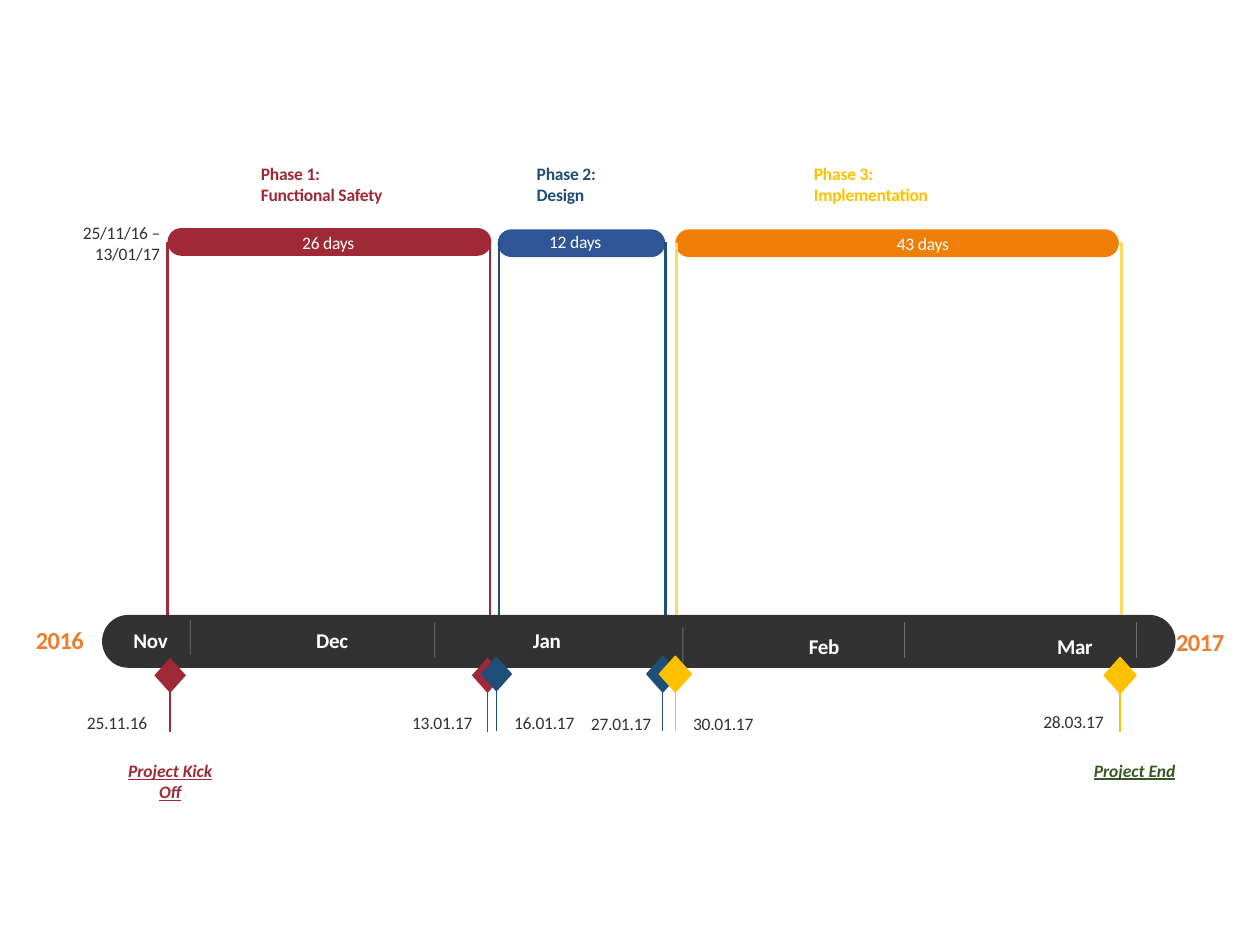
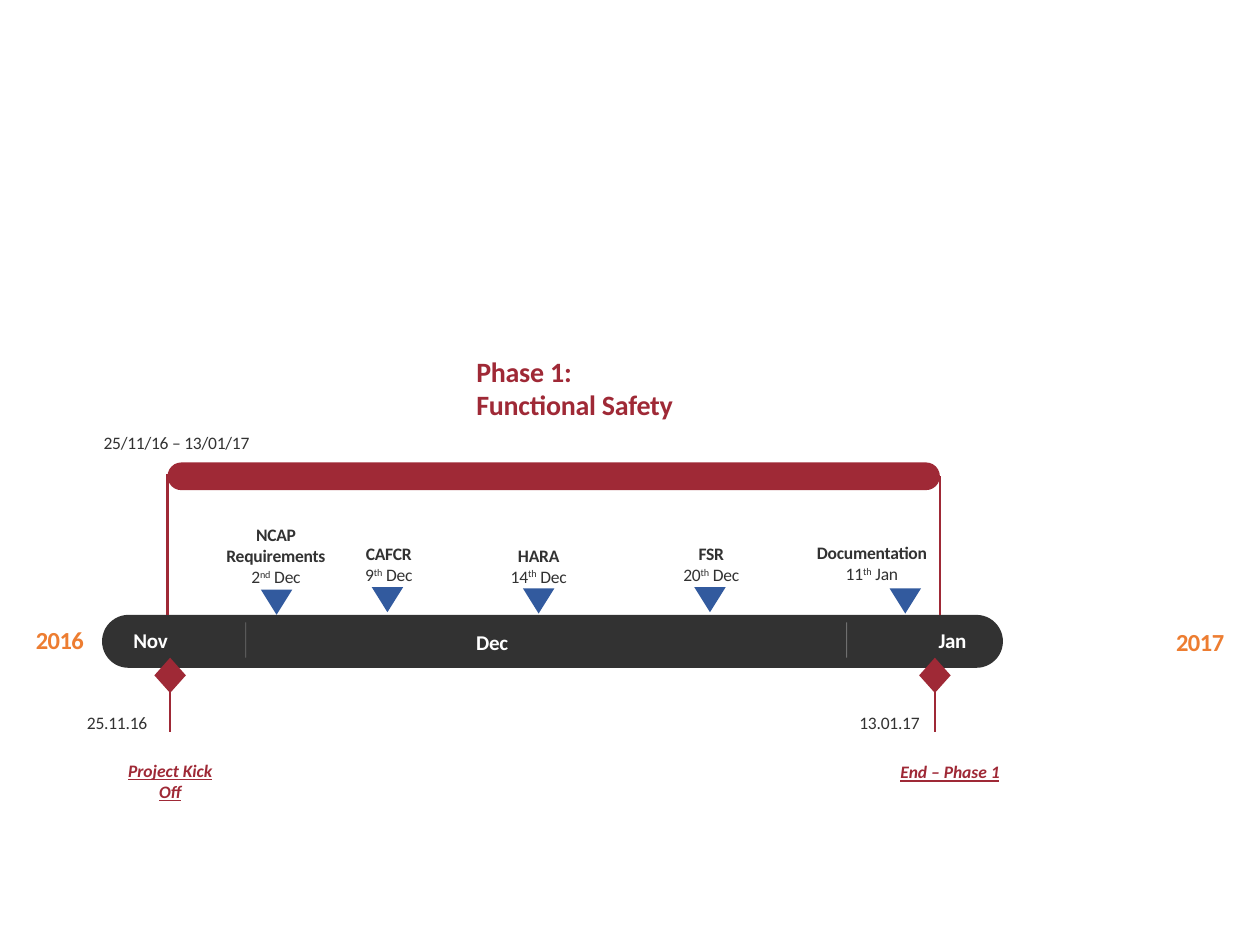
from lxml.etree import SubElement
from pptx import Presentation
from pptx.dml.color import RGBColor
from pptx.enum.shapes import MSO_CONNECTOR as Connector, MSO_SHAPE as Shape
from pptx.enum.text import MSO_ANCHOR as Anchor, MSO_AUTO_SIZE as AutoSize, PP_ALIGN as Align
from pptx.oxml.ns import qn
from pptx.util import Inches, Pt

COLORS = {
    "red": "9F2936", "blue": "1F4E79", "bar_blue": "2F5597", "marker": "325A9E",
    "gold": "FFC000", "pale_gold": "FFD966", "bar_orange": "F07F09",
    "year": "ED7D31", "dark": "323232", "green": "385723", "white": "FFFFFF",
}
FONT = "Calibri"
BAND_LEFT, BAND_TOP, BAND_HEIGHT = 0.81, 4.88, 0.42
BAR_HEIGHT = 0.22
DIAMOND_WIDTH, DIAMOND_HEIGHT = 0.25, 0.28
TRIANGLE_WIDTH, TRIANGLE_HEIGHT = 0.25, 0.2
YEARS = [("2016", 0.28, 4.96), ("2017", 9.33, 4.97)]
KICK_OFF = ("Project Kick Off", 0.99, 6.03, 0.72, 0.34, "red")
START = ("25.11.16", 1.35, 5.22, 0.61, 5.65, "red", False)

OVERVIEW = {
    "band_width": 8.52,
    "months": [("Nov", 1.06, 4.98), ("Dec", 2.51, 4.98), ("Jan", 4.23, 4.98),
               ("Feb", 6.42, 5.03), ("Mar", 8.39, 5.03)],
    "dividers": [(1.51, 4.92), (3.45, 4.94), (5.42, 4.98), (7.18, 4.94), (9.02, 4.94)],
    "bars": [(1.33, 1.81, 2.57, "red"), (3.95, 1.82, 1.33, "bar_blue"),
             (5.36, 1.82, 3.52, "bar_orange")],
    "pillars": [(1.33, 1.92, "red"), (3.89, 1.93, "red"), (3.96, 1.92, "blue"),
                (5.28, 1.92, "blue"), (5.37, 1.93, "pale_gold"), (8.9, 1.92, "pale_gold")],
    "durations": [("26 days", 2.39, 1.84), ("12 days", 4.35, 1.83), ("43 days", 7.11, 1.85)],
    "period": (0.44, 1.76, 0.83, 0.34),
    "titles": [(["Phase 1: Functional Safety"], 2.07, 1.29, 1, 0.34, 10, "red"),
               (["Phase 2:", "Design"], 4.26, 1.29, 1, 0.34, 10, "blue"),
               (["Phase 3: Implementation"], 6.46, 1.29, 1, 0.34, 10, "gold")],
    "milestones": [START,
                   ("28.03.17", 8.89, 5.22, 8.2, 5.64, "gold", True),
                   ("13.01.17", 3.87, 5.22, 3.19, 5.65, "red", False),
                   ("16.01.17", 3.94, 5.21, 4, 5.65, "blue", False),
                   ("27.01.17", 5.26, 5.21, 4.61, 5.66, "blue", True),
                   ("30.01.17", 5.36, 5.21, 5.42, 5.66, "gold", True)],
    "events": [KICK_OFF, ("Project End", 8.68, 6.03, 0.65, 0.17, "green")],
    "deliverables": [],
}
PHASE_ONE = {
    "band_width": 7.15,
    "months": [("Nov", 1.06, 4.98), ("Dec", 3.78, 5), ("Jan", 7.45, 4.98)],
    "dividers": [(1.95, 4.94), (6.72, 4.94)],
    "bars": [(1.33, 3.67, 6.13, "red")],
    "pillars": [(1.33, 3.76, "red"), (7.46, 3.78, "red")],
    "durations": [],
    "period": (0.68, 3.43, 1.3, 0.17),
    "titles": [(["Phase 1:", "Functional Safety"], 3.78, 2.81, 2.18, 0.54, 16, "red")],
    "milestones": [START, ("13.01.17", 7.42, 5.22, 6.74, 5.65, "red", False)],
    "events": [KICK_OFF, ("End – Phase 1", 7.12, 6.04, 0.84, 0.17, "red")],
    "deliverables": [
        ("NCAP Requirements", ("2", "nd", " Dec"), (1.75, 4.16, 0.88, 0.5), (2.07, 4.68)),
        ("CAFCR", ("9", "th", " Dec"), (2.79, 4.31, 0.59, 0.34), (2.95, 4.66)),
        ("HARA", ("14", "th", " Dec"), (3.98, 4.32, 0.59, 0.34), (4.15, 4.67)),
        ("FSR", ("20", "th", " Dec"), (5.35, 4.31, 0.59, 0.34), (5.51, 4.66)),
        ("Documentation", ("11", "th", " Jan"), (6.46, 4.3, 0.92, 0.34), (7.06, 4.67)),
    ],
}


def rgb(name):
    return RGBColor.from_string(COLORS[name])


def style_run(run, size, color, bold=False, emphasis=False, spacing=-0.1):
    font = run.font
    font.name, font.size, font.bold = FONT, Pt(size), bold
    font.color.rgb = rgb(color)
    if emphasis:
        font.italic = font.underline = True
    elif spacing:
        run._r.get_or_add_rPr().set("spc", str(round(spacing * 100)))


def add_text(slide, lines, box, size, color, align=Align.CENTER, wrap=True, grow=True, **style):
    text_frame = slide.shapes.add_textbox(*map(Inches, box)).text_frame
    text_frame.margin_left = text_frame.margin_right = 0
    text_frame.margin_top = text_frame.margin_bottom = 0
    text_frame.word_wrap = wrap
    text_frame.auto_size = AutoSize.SHAPE_TO_FIT_TEXT if grow else AutoSize.NONE
    text_frame.vertical_anchor = Anchor.MIDDLE
    text_frame.text = "\n".join(lines)
    for paragraph in text_frame.paragraphs:
        paragraph.alignment = align
        for run in paragraph.runs:
            style_run(run, size, color, **style)
    return text_frame


def add_line(slide, x, top, bottom, color, width, opacity=None):
    line = slide.shapes.add_connector(
        Connector.STRAIGHT, Inches(x), Inches(top), Inches(x), Inches(bottom))
    line.line.color.rgb = rgb(color)
    line.line.width = Pt(width)
    properties = line._element.spPr
    SubElement(properties, qn("a:effectLst"))
    if opacity:
        color_node = properties.find(".//" + qn("a:srgbClr"))
        SubElement(color_node, qn("a:alpha")).set("val", str(opacity * 1000))


def add_filled(slide, kind, box, color, outlined=False):
    shape = slide.shapes.add_shape(kind, *map(Inches, box))
    shape.shadow.inherit = False
    shape.fill.solid()
    shape.fill.fore_color.rgb = rgb(color)
    if outlined:
        shape.line.color.rgb = rgb(color)
        shape.line.width = Pt(1)
    else:
        shape.line.fill.background()
    if kind == Shape.ROUNDED_RECTANGLE:
        shape.adjustments[0] = 0.5
    return shape


def add_band(slide, plan):
    for year, left, top in YEARS:
        add_text(slide, [year], (left, top, 0.39, 0.24), 14, "year",
                 wrap=False, bold=True, spacing=-0.3)
    add_filled(slide, Shape.ROUNDED_RECTANGLE,
               (BAND_LEFT, BAND_TOP, plan["band_width"], BAND_HEIGHT), "dark")
    for month, left, top in plan["months"]:
        add_text(slide, [month], (left, top, 0.27, 0.2), 12, "white", align=Align.LEFT,
                 wrap=False, grow=False, bold=True, spacing=-0.2)
    for x, top in plan["dividers"]:
        add_line(slide, x, top, top + 0.28, "white", 0.5, opacity=30)


def add_phases(slide, plan):
    for left, top, width, color in plan["bars"]:
        add_filled(slide, Shape.ROUNDED_RECTANGLE, (left, top, width, BAR_HEIGHT), color)
    for x, top, color in plan["pillars"]:
        add_line(slide, x, top, BAND_TOP, color, 1.5)
    for duration, left, top in plan["durations"]:
        add_text(slide, [duration], (left, top, 0.43, 0.17), 10, "white")
    add_text(slide, ["25/11/16 – 13/01/17"], plan["period"], 10, "dark", align=Align.RIGHT)
    for lines, left, top, width, height, size, color in plan["titles"]:
        add_text(slide, lines, (left, top, width, height), size, color,
                 align=Align.LEFT, bold=True)


def add_milestones(slide, plan):
    for date, x, top, date_left, date_top, color, outlined in plan["milestones"]:
        middle = top + DIAMOND_HEIGHT / 2
        add_line(slide, x, middle, middle + 0.45, color, 0.75)
        add_text(slide, [date], (date_left, date_top, 0.64, 0.17), 10, "dark")
        add_filled(slide, Shape.DIAMOND,
                   (x - DIAMOND_WIDTH / 2, top, DIAMOND_WIDTH, DIAMOND_HEIGHT), color, outlined)
    for event, left, top, width, height, color in plan["events"]:
        add_text(slide, [event], (left, top, width, height), 10, color,
                 bold=True, emphasis=True)


def add_deliverables(slide, plan):
    for name, date_parts, box, corner in plan["deliverables"]:
        triangle = add_filled(slide, Shape.ISOSCELES_TRIANGLE,
                              (*corner, TRIANGLE_WIDTH, TRIANGLE_HEIGHT), "marker")
        triangle._element.spPr.find(qn("a:xfrm")).set("flipV", "1")
        text_frame = add_text(slide, [name], box, 10, "dark", bold=True)
        paragraph = text_frame.add_paragraph()
        paragraph.alignment = Align.CENTER
        for index, part in enumerate(date_parts):
            run = paragraph.add_run()
            run.text = part
            style_run(run, 10, "dark")
            if index == 1:
                run._r.get_or_add_rPr().set("baseline", "30000")


presentation = Presentation()
presentation.slide_width, presentation.slide_height = Inches(10), Inches(7.5)
for plan in (OVERVIEW, PHASE_ONE):
    slide = presentation.slides.add_slide(presentation.slide_layouts[6])
    add_band(slide, plan)
    add_phases(slide, plan)
    add_milestones(slide, plan)
    add_deliverables(slide, plan)
presentation.save("out.pptx")
